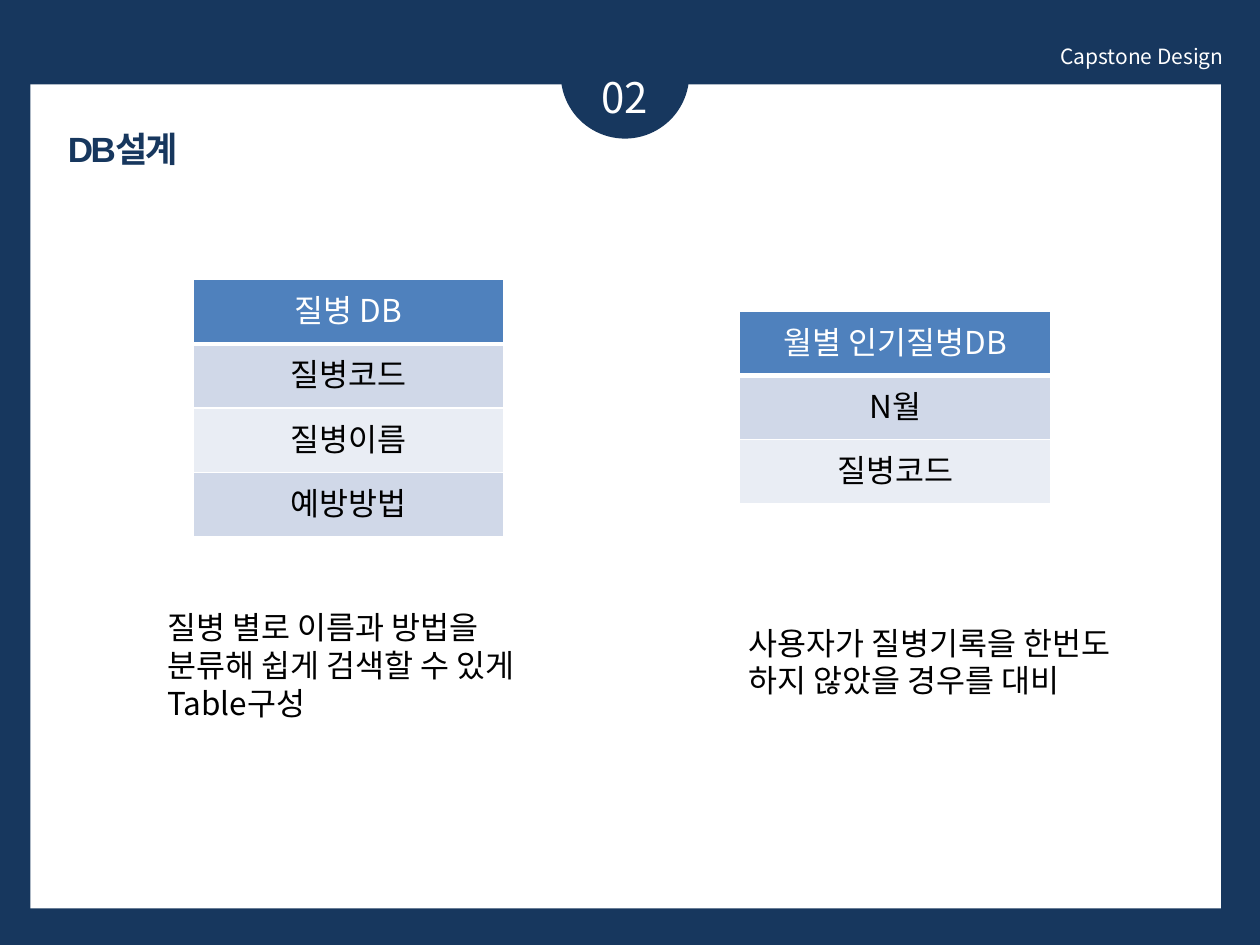
import pptx
import pptx.util
import pptx.dml.color
import pptx.enum.shapes
import pptx.enum.text
import pptx.oxml.ns
from lxml import etree

Inches, Pt = pptx.util.Inches, pptx.util.Pt
RGB = pptx.dml.color.RGBColor
Align = pptx.enum.text.PP_ALIGN
Shape = pptx.enum.shapes.MSO_SHAPE
qn = pptx.oxml.ns.qn

NAVY = RGB(0x17, 0x37, 0x5E)
WHITE = RGB(0xFF, 0xFF, 0xFF)
BLACK = RGB(0, 0, 0)
BLUE = RGB(0x4F, 0x81, 0xBD)
BANDS = RGB(0xD0, 0xD8, 0xE8), RGB(0xE9, 0xED, 0xF4)
NOTO = "Noto Sans CJK KR"

# Content: shapes, texts (box, text, align, spacing, font) and tables
PANELS = [
    (Shape.RECTANGLE, (0.24, 0.67, 9.45, 6.54), WHITE),
    (Shape.OVAL, (4.45, 0.08, 1.02, 1.02), NAVY),
]
BODY = {"name": NOTO, "size": Pt(18), "bold": False}
TEXTS = [
    ((4.37, 0.52, 1.18, 0.5), "02", Align.CENTER, 0,
     {"name": NOTO, "size": Pt(24), "color": WHITE}),
    ((0.44, 0.96, 3.22, 0.44), "DB설계", Align.LEFT, -1.5,
     {"name": "Arial", "size": Pt(20), "bold": True, "color": NAVY}),
    ((5.87, 0.3, 3.94, 0.3), "Capstone Design", Align.RIGHT, 0,
     {"name": NOTO, "size": Pt(12), "color": WHITE}),
    ((5.84, 4.9, 3.07, 0.71), "사용자가 질병기록을 한번도 하지 않았을 경우를 대비",
     Align.LEFT, 0, {**BODY, "color": BLACK}),
    ((1.23, 4.78, 3.07, 1.01),
     "질병 별로 이름과 방법을 분류해 쉽게 검색할 수 있게 Table구성",
     Align.LEFT, 0, {**BODY, "color": BLACK}),
]
TABLES = [
    ((1.53, 2.22), ["질병 DB", "질병코드", "질병이름", "예방방법"]),
    ((5.87, 2.47), ["월별 인기질병DB", "N월", "질병코드"]),
]
WIDE, ROW = 2.47, 0.51


def write(frame, text, align, gap, form):
    para = frame.paragraphs[0]
    para.alignment = align
    run = para.add_run()
    run.text = text
    for key, value in form.items():
        if key == "color":
            run.font.color.rgb = value
        else:
            setattr(run.font, key, value)
    props = run.font._element
    etree.SubElement(props, qn("a:ea"), typeface=NOTO)
    if gap:
        props.set("spc", str(int(gap * 100)))


def edge(cell, head):
    props = cell._tc.get_or_add_tcPr()
    for spot, side in enumerate("LRTB"):
        width = 3 if head and side == "B" else 1
        line = etree.Element(qn("a:ln" + side), w=str(Pt(width)))
        fill = etree.SubElement(line, qn("a:solidFill"))
        etree.SubElement(fill, qn("a:srgbClr"), val=str(WHITE))
        props.insert(spot, line)


deck = pptx.Presentation()
deck.slide_width, deck.slide_height = Inches(10), Inches(7.5)
slide = deck.slides.add_slide(deck.slide_layouts[6])
slide.background.fill.solid()
slide.background.fill.fore_color.rgb = NAVY

# White page and number badge
for kind, box, color in PANELS:
    panel = slide.shapes.add_shape(kind, *map(Inches, box))
    panel.shadow.inherit = False
    panel.fill.solid()
    panel.fill.fore_color.rgb = color
    panel.line.fill.background()

# Headings and notes on the tables
for box, text, align, gap, form in TEXTS:
    frame = slide.shapes.add_textbox(*map(Inches, box)).text_frame
    frame.word_wrap = True
    write(frame, text, align, gap, form)

# Database tables: one header row, then banded fields
for (left, top), fields in TABLES:
    count = len(fields)
    table = slide.shapes.add_table(
        count, 1, Inches(left), Inches(top),
        Inches(WIDE), Inches(ROW * count)).table
    for index, field in enumerate(fields):
        head = index == 0
        table.rows[index].height = Inches(ROW)
        cell = table.cell(index, 0)
        cell.fill.solid()
        cell.fill.fore_color.rgb = BLUE if head else BANDS[(index - 1) % 2]
        edge(cell, head)
        write(cell.text_frame, field, Align.CENTER, 0,
              {**BODY, "color": WHITE if head else BLACK})

deck.save("out.pptx")
